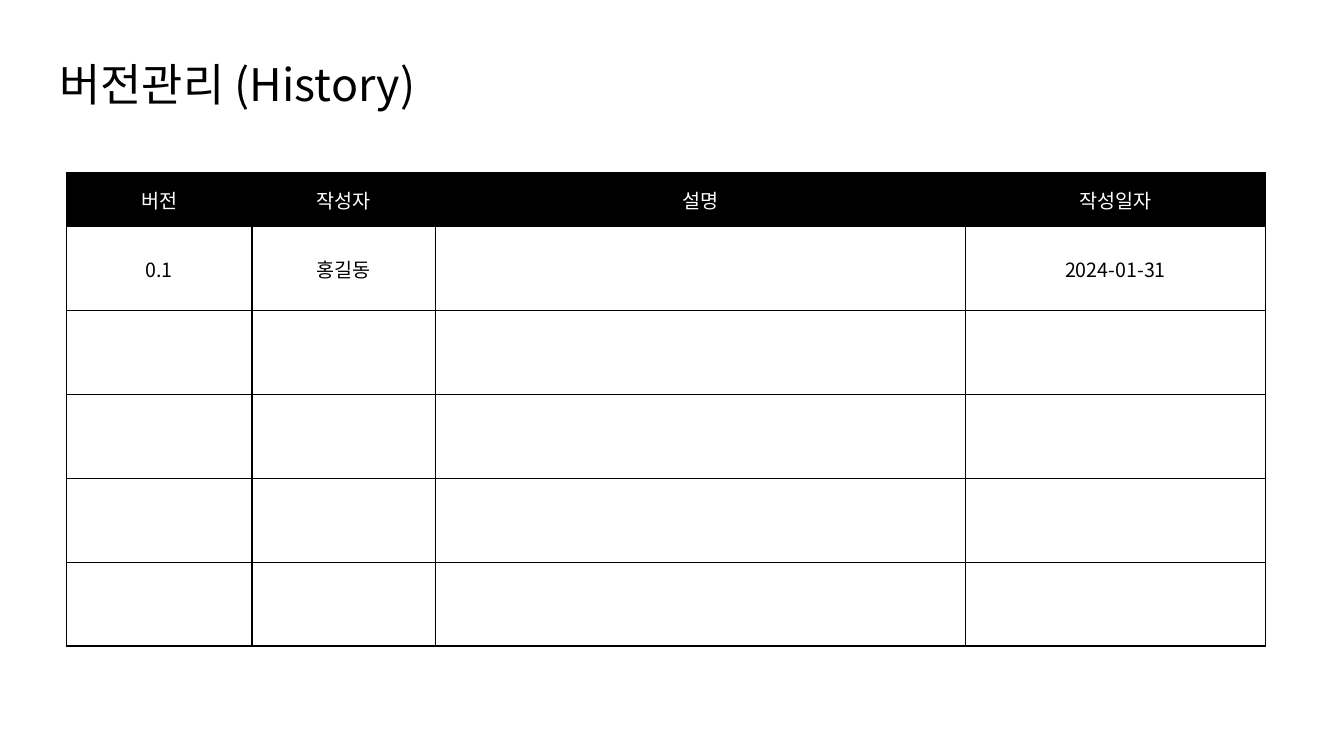
from lxml import etree
from pptx import Presentation
from pptx.dml.color import RGBColor
from pptx.enum import text
from pptx.oxml import ns
from pptx.util import Inches, Pt

FONT = "Noto Sans CJK KR"
BLACK = RGBColor(0x00, 0x00, 0x00)
WHITE = RGBColor(0xFF, 0xFF, 0xFF)
COLUMN_WIDTHS = [1.84, 1.82, 5.26, 2.97]
HEADER_HEIGHT = 0.54
ROWS = [
    ["버전", "작성자", "설명", "작성일자"],
    ["0.1", "홍길동", "", "2024-01-31"],
] + [[""] * 4 for _ in range(4)]


def format_paragraph(paragraph, size, color, alignment):
    """Set the alignment of a paragraph and the font of its runs."""
    paragraph.alignment = alignment
    paragraph.font.size = Pt(size)
    for run in paragraph.runs:
        run.font.size = Pt(size)
        run.font.name = FONT
        run.font.color.rgb = color
        east_asian = etree.SubElement(run.font._element, ns.qn("a:ea"))
        east_asian.set("typeface", FONT)


def add_borders(cell, color, width):
    """Draw a solid line on all four sides of a cell."""
    properties = cell._tc.get_or_add_tcPr()
    for index, side in enumerate(("lnL", "lnR", "lnT", "lnB")):
        line = etree.Element(ns.qn(f"a:{side}"), w=str(Pt(width)))
        fill = etree.SubElement(line, ns.qn("a:solidFill"))
        etree.SubElement(fill, ns.qn("a:srgbClr"), val=str(color))
        properties.insert(index, line)


def add_title(slide, left, top, width, height):
    """Fill the title placeholder and move it into the given box."""
    title = slide.shapes.title
    title.left, title.top = Inches(left), Inches(top)
    title.width, title.height = Inches(width), Inches(height)
    frame = title.text_frame
    frame.text = "버전관리 (History)"
    frame.word_wrap = True
    frame.auto_size = text.MSO_AUTO_SIZE.NONE
    frame.vertical_anchor = text.MSO_ANCHOR.MIDDLE
    paragraph = frame.paragraphs[0]
    paragraph.line_spacing = 0.9
    format_paragraph(paragraph, 32, BLACK, text.PP_ALIGN.LEFT)


def add_history_table(slide, left, top, width, height):
    """Place the version table, with equal rows below its header."""
    table = slide.shapes.add_table(
        len(ROWS), len(COLUMN_WIDTHS),
        Inches(left), Inches(top), Inches(width), Inches(height),
    ).table
    for column, column_width in zip(table.columns, COLUMN_WIDTHS):
        column.width = Inches(width * column_width / sum(COLUMN_WIDTHS))
    row_height = (height - HEADER_HEIGHT) / (len(ROWS) - 1)
    for row_index, values in enumerate(ROWS):
        is_header = row_index == 0
        row = table.rows[row_index]
        row.height = Inches(HEADER_HEIGHT if is_header else row_height)
        for cell, value in zip(row.cells, values):
            cell.text_frame.text = value
            cell.vertical_anchor = text.MSO_ANCHOR.MIDDLE
            cell.fill.solid()
            cell.fill.fore_color.rgb = BLACK if is_header else WHITE
            add_borders(cell, BLACK, 1)
            format_paragraph(
                cell.text_frame.paragraphs[0], 14,
                WHITE if is_header else BLACK, text.PP_ALIGN.CENTER,
            )


def main():
    """Build the version history slide and save it."""
    presentation = Presentation()
    presentation.slide_width = Inches(13.33)
    presentation.slide_height = Inches(7.5)
    slide = presentation.slides.add_slide(presentation.slide_layouts[5])
    add_title(slide, 0.49, 0.26, 12.54, 1.2)
    add_history_table(slide, 0.66, 1.71, 11.89, 4.7)
    presentation.save("out.pptx")


if __name__ == "__main__":
    main()
